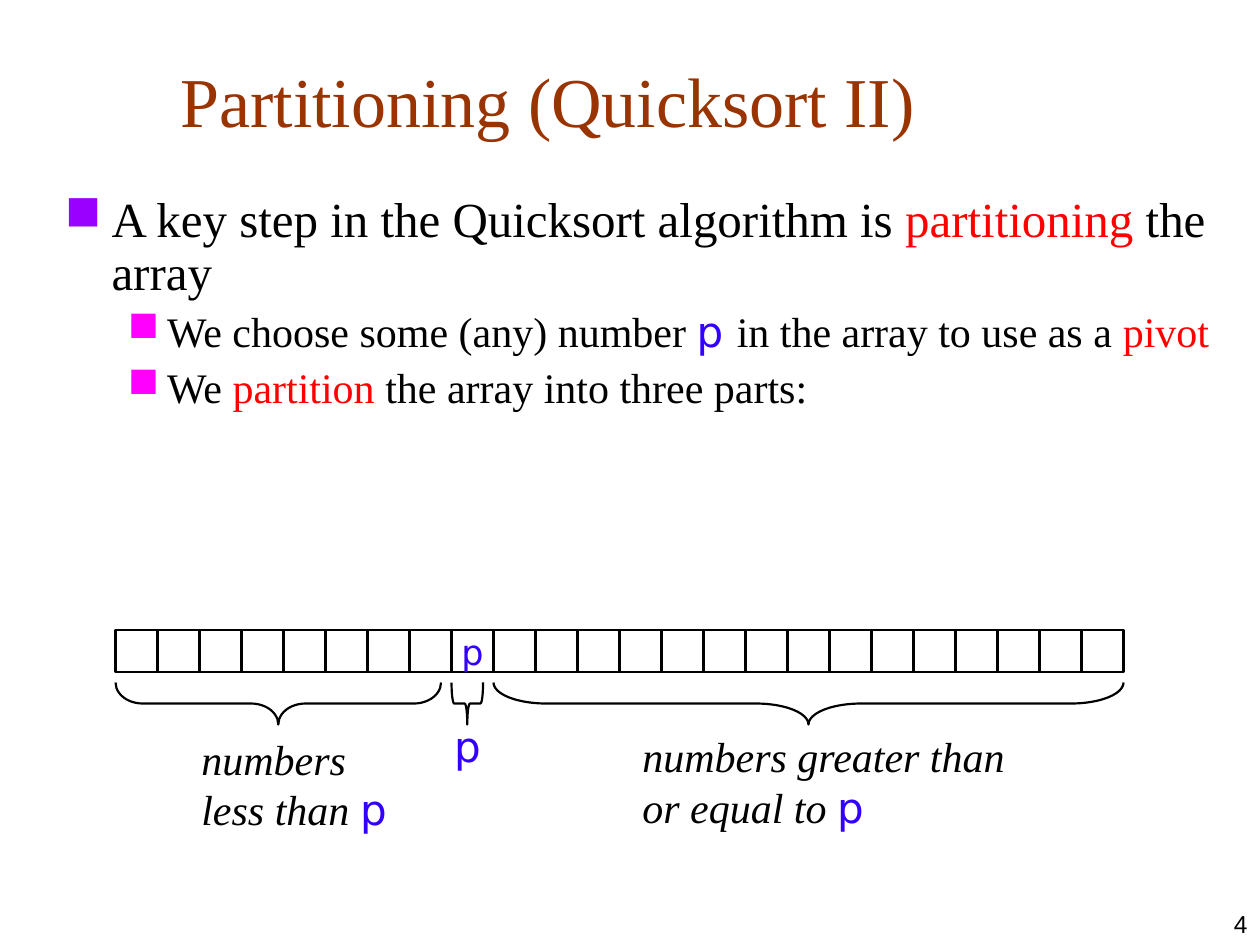
import pptx
import pptx.dml.color
import pptx.enum.shapes
import pptx.enum.text
import pptx.oxml
import pptx.oxml.ns
import pptx.util
from pptx.util import Cm

COLORS = {"text": "000000", "title": "993300", "key": "FF0000", "pivot": "3300FF",
          "bullet1": "9900FF", "bullet2": "FF00FF"}
SERIF, SANS, MONO = "Times New Roman", "Arial", "DejaVu Sans"
ALIGN = pptx.enum.text.PP_ALIGN
ANCHOR = pptx.enum.text.MSO_ANCHOR
SHAPE = pptx.enum.shapes.MSO_SHAPE


def rgb(name):
    """Return the named colour."""
    return pptx.dml.color.RGBColor.from_string(COLORS[name])


def add_run(p, text, size=24, font=SERIF, color="text", italic=False):
    """Append a formatted run to a paragraph."""
    r = p.add_run()
    r.text = text
    r.font.size = pptx.util.Pt(size)
    r.font.name = font
    r.font.italic = italic
    r.font.color.rgb = rgb(color)


def add_box(shapes, x, y, w, h, anchor=ANCHOR.TOP, align=ALIGN.LEFT):
    """Add a wrapping text box and return its first paragraph."""
    tf = shapes.add_textbox(Cm(x), Cm(y), Cm(w), Cm(h)).text_frame
    tf.word_wrap = True
    tf.vertical_anchor = anchor
    p = tf.paragraphs[0]
    p.alignment = align
    return p


def add_outline(shapes, kind, x, y, w, h):
    """Add an unfilled shape with a thin black line."""
    sp = shapes.add_shape(kind, Cm(x), Cm(y), Cm(w), Cm(h))
    sp.shadow.inherit = False
    sp.fill.background()
    sp.line.color.rgb = rgb("text")
    sp.line.width = pptx.util.Pt(1.25)
    return sp


def add_bullet(p, level, indent, hang, color):
    """Give a paragraph a coloured square bullet with a hanging indent."""
    p.level = level
    pPr = p._p.get_or_add_pPr()
    pPr.set("marL", str(Cm(indent)))
    pPr.set("indent", str(-Cm(hang)))
    ns = pptx.oxml.ns.nsdecls("a")
    for xml in (f'<a:buClr {ns}><a:srgbClr val="{COLORS[color]}"/></a:buClr>',
                f'<a:buChar {ns} char="■"/>'):
        pPr.append(pptx.oxml.parse_xml(xml))
    p.line_spacing = 0.9


def add_bullets(s, x, y, w, h):
    """Place the bulleted explanation."""
    items = [
        (0, [("A key step in the Quicksort algorithm is ", {}),
             ("partitioning", {"color": "key"}), (" the array", {})]),
        (1, [("We choose some (any) number ", {}),
             ("p ", {"font": MONO, "color": "pivot"}),
             ("in the array to use as a ", {}), ("pivot", {"color": "key"})]),
        (1, [("We ", {}), ("partition", {"color": "key"}),
             (" the array into three parts:", {})]),
    ]
    levels = [(0.94, 0.94, "bullet1", 28), (2.06, 0.79, "bullet2", 24)]
    p = add_box(s.shapes, x, y, w, h)
    tf = p._parent
    for i, (level, runs) in enumerate(items):
        if i:
            p = tf.add_paragraph()
            p.space_before = pptx.util.Pt(6)
        indent, hang, color, size = levels[level]
        add_bullet(p, level, indent, hang, color)
        for text, fmt in runs:
            add_run(p, text, size=size, **fmt)


def add_array(s, x, y, cell, count, pivot):
    """Place the row of array cells, with the pivot marked."""
    shapes = s.shapes.add_group_shape().shapes
    for i in range(count):
        sp = add_outline(shapes, SHAPE.RECTANGLE, x + i * cell, y, cell, cell)
        if i == pivot:
            tf = sp.text_frame
            tf.word_wrap = False
            tf.vertical_anchor = ANCHOR.MIDDLE
            tf.paragraphs[0].alignment = ALIGN.CENTER
            add_run(tf.paragraphs[0], "p", size=20, font=MONO, color="pivot")


def add_part(s, x, y, w, depth, label_box, text="", align=ALIGN.LEFT):
    """Place a brace opening upwards with its label at an offset from it."""
    shapes = s.shapes.add_group_shape().shapes
    shift = (w - depth) / 2
    sp = add_outline(shapes, SHAPE.LEFT_BRACE, x + shift, y - shift, depth, w)
    sp.rotation = 270
    sp.adjustments[0] = w / 12 / min(w, depth)
    dx, dy, label_w, label_h = label_box
    p = add_box(shapes, x + dx, y + dy, label_w, label_h, align=align)
    if text:
        add_run(p, text, italic=True)
    add_run(p, "p", font=MONO, color="pivot")


def main():
    """Build the slide."""
    prs = pptx.Presentation()
    prs.slide_width, prs.slide_height = Cm(25.4), Cm(19.05)
    s = prs.slides.add_slide(prs.slide_layouts[6])

    p = add_box(s.shapes, 20.12, 17.78, 5.28, 1.27, ANCHOR.BOTTOM, ALIGN.RIGHT)
    add_run(p, "4", size=14, font=SANS)
    p = add_box(s.shapes, 3.39, 0.64, 21.64, 2.33, ANCHOR.BOTTOM)
    add_run(p, "Partitioning (Quicksort II)", size=40, color="title")
    add_bullets(s, 1.06, 3.81, 23.83, 7.26)

    x, y, count, pivot = 2.33, 12.7, 24, 8
    cell = 20.32 / count
    gap = cell / 4
    brace_y = y + cell + gap
    add_array(s, x, y, cell, count, pivot)
    add_part(s, x, brace_y, pivot * cell - gap, cell,
             (1.48, 0.9, 4.85, 2.29), "numbers less than ")
    add_part(s, x + (pivot + 1) * cell, brace_y, (count - pivot - 1) * cell, cell,
             (2.75, 0.85, 7.82, 2.29), "numbers greater than or equal to ")
    add_part(s, x + pivot * cell, brace_y, cell - gap, cell,
             (-0.42, 0.64, 1.48, 1.27), align=ALIGN.CENTER)

    prs.save("out.pptx")


if __name__ == "__main__":
    main()
